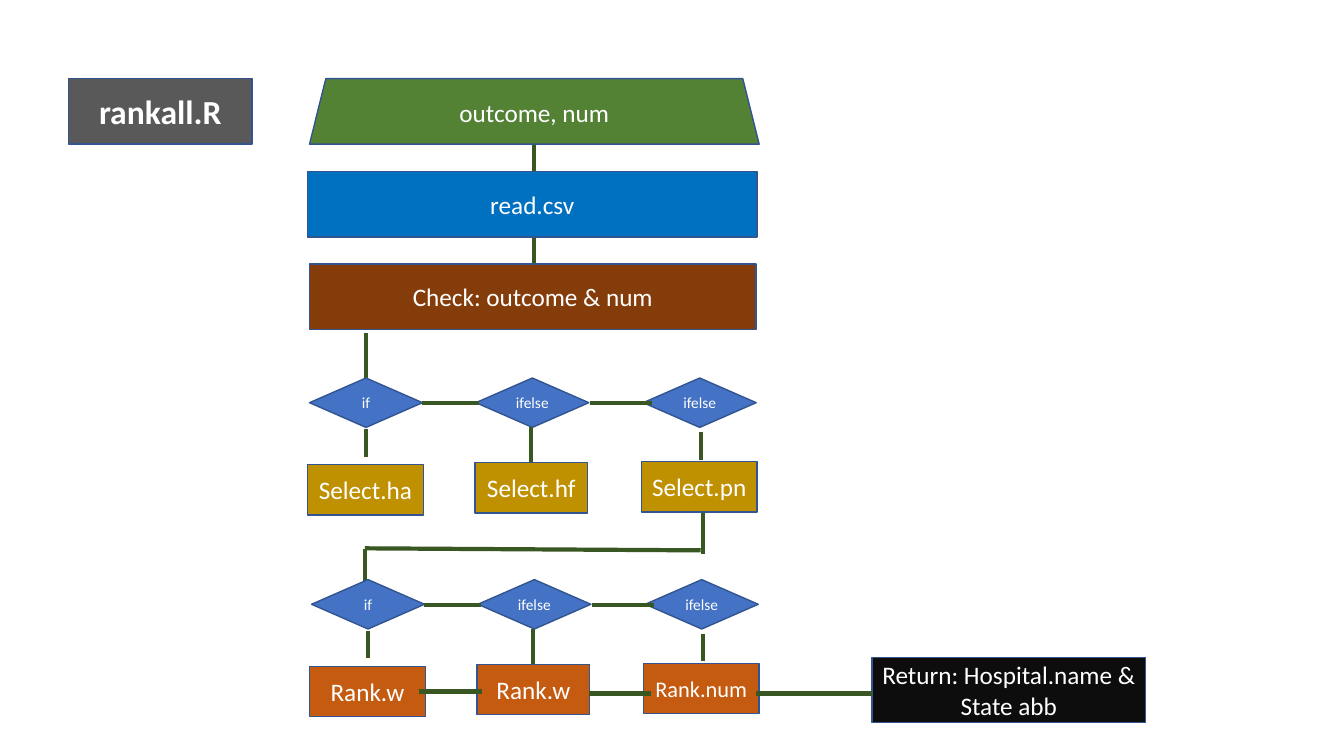
from lxml import etree
from pptx import Presentation
from pptx.dml.color import RGBColor
from pptx.enum.shapes import MSO_CONNECTOR, MSO_SHAPE as SHAPE
from pptx.enum.text import MSO_ANCHOR, PP_ALIGN
from pptx.oxml.ns import qn
from pptx.util import Pt

EMU_PER_PX = 9144
SLIDE_W, SLIDE_H = 1333, 750
FONT = "Calibri"

WHITE = RGBColor(0xFF, 0xFF, 0xFF)
OUTLINE = RGBColor(0x32, 0x54, 0x91)
LINK = RGBColor(0x38, 0x57, 0x23)
GRAY = RGBColor(0x59, 0x59, 0x59)
GREEN = RGBColor(0x54, 0x82, 0x35)
BLUE = RGBColor(0x00, 0x70, 0xC0)
BROWN = RGBColor(0x84, 0x3C, 0x0B)
BLACK = RGBColor(0x0D, 0x0D, 0x0D)
DIAMOND_BLUE = RGBColor(0x44, 0x72, 0xC4)
GOLD = RGBColor(0xBF, 0x90, 0x00)
ORANGE = RGBColor(0xC5, 0x5A, 0x11)


def px(n):
    return n * EMU_PER_PX


def write_text(sp, text, size=18, bold=False, color=WHITE):
    tf = sp.text_frame
    tf.word_wrap = True
    tf.vertical_anchor = MSO_ANCHOR.MIDDLE
    p = tf.paragraphs[0]
    p.alignment = PP_ALIGN.CENTER
    r = p.add_run()
    r.text = text
    r.font.name = FONT
    r.font.size = Pt(size)
    r.font.bold = bold
    r.font.color.rgb = color


def paint(sp, fill):
    sp.fill.solid()
    sp.fill.fore_color.rgb = fill
    sp.line.color.rgb = OUTLINE
    sp.line.width = Pt(1)


def add_node(slide, kind, box, fill, text, **fmt):
    sp = slide.shapes.add_shape(kind, *map(px, box))
    sp.shadow.inherit = False
    paint(sp, fill)
    write_text(sp, text, **fmt)


def add_link(slide, x1, y1, x2, y2):
    cn = slide.shapes.add_connector(MSO_CONNECTOR.STRAIGHT, *map(px, (x1, y1, x2, y2)))
    cn.line.color.rgb = LINK
    cn.line.width = Pt(3)
    etree.SubElement(cn._element.spPr, qn("a:effectLst"))


def add_title(slide, box):
    sp = slide.shapes.title
    sp.left, sp.top, sp.width, sp.height = map(px, box)
    geom = etree.SubElement(sp._element.spPr, qn("a:prstGeom"), prst="snip2SameRect")
    etree.SubElement(geom, qn("a:avLst"))
    paint(sp, GRAY)
    write_text(sp, "rankall.R", size=24, bold=True)


def add_input_steps(slide, box):
    x, y, w, h = box
    pitch = 92
    add_link(slide, x + 225, y + h, x + 225, y + pitch)
    add_link(slide, x + 225, y + pitch + h, x + 225, y + 2 * pitch)
    steps = [
        (SHAPE.TRAPEZOID, 2, w, GREEN, "outcome, num"),
        (SHAPE.RECTANGLE, 0, w, BLUE, "read.csv"),
        (SHAPE.RECTANGLE, 2, w - 3, BROWN, "Check: outcome & num"),
    ]
    for i, (kind, dx, step_w, fill, text) in enumerate(steps):
        add_node(slide, kind, (x + dx, y + i * pitch, step_w, h), fill, text)


def add_decision_row(slide, origin, fill, results):
    x, y = origin
    for dx, text in ((2, "if"), (167, "ifelse"), (333, "ifelse")):
        add_node(slide, SHAPE.DIAMOND, (x + dx, y, 112, 49), DIAMOND_BLUE, text, size=11)
    for start, end in ((114, 170), (280, 342)):
        add_link(slide, x + start, y + 25, x + end, y + 25)
    for dx, top, bottom in ((58, 51, 78), (222, 49, 92), (390, 54, 81)):
        add_link(slide, x + dx, y + top, x + dx, y + bottom)
    places = ((0, 86, 115), (166, 84, 112), (331, 83, 115))
    for (dx, dy, w), (text, size) in zip(places, results):
        add_node(slide, SHAPE.RECTANGLE, (x + dx, y + dy, w, 50), fill, text, size=size)


def add_row_bridge(slide, box):
    x, y, w, h = box
    add_link(slide, x + w, y, x + w, y + h - 36)
    add_link(slide, x + w - 2, y + 37, x, y + 35)
    add_link(slide, x, y + 36, x, y + h)


def add_return(slide, box):
    x, y, w, h = box
    add_node(slide, SHAPE.RECTANGLE, box, BLACK, "Return: Hospital.name & State abb")
    for start, end, dy in ((449, 387, 34), (281, 219, 36), (115, 0, 36)):
        add_link(slide, x - start, y + dy, x - end, y + dy)


def main():
    prs = Presentation()
    prs.slide_width, prs.slide_height = px(SLIDE_W), px(SLIDE_H)
    slide = prs.slides.add_slide(prs.slide_layouts[5])
    add_title(slide, (68, 78, 182, 65))
    add_input_steps(slide, (305, 78, 446, 65))
    add_link(slide, 363, 330, 363, 375)
    add_decision_row(slide, (305, 375), GOLD,
                     [("Select.ha", 18), ("Select.hf", 18), ("Select.pn", 18)])
    add_row_bridge(slide, (362, 509, 335, 77))
    add_decision_row(slide, (307, 575), ORANGE,
                     [("Rank.w", 18), ("Rank.w", 18), ("Rank.num", 16)])
    add_return(slide, (865, 652, 271, 65))
    prs.save("out.pptx")


if __name__ == "__main__":
    main()
